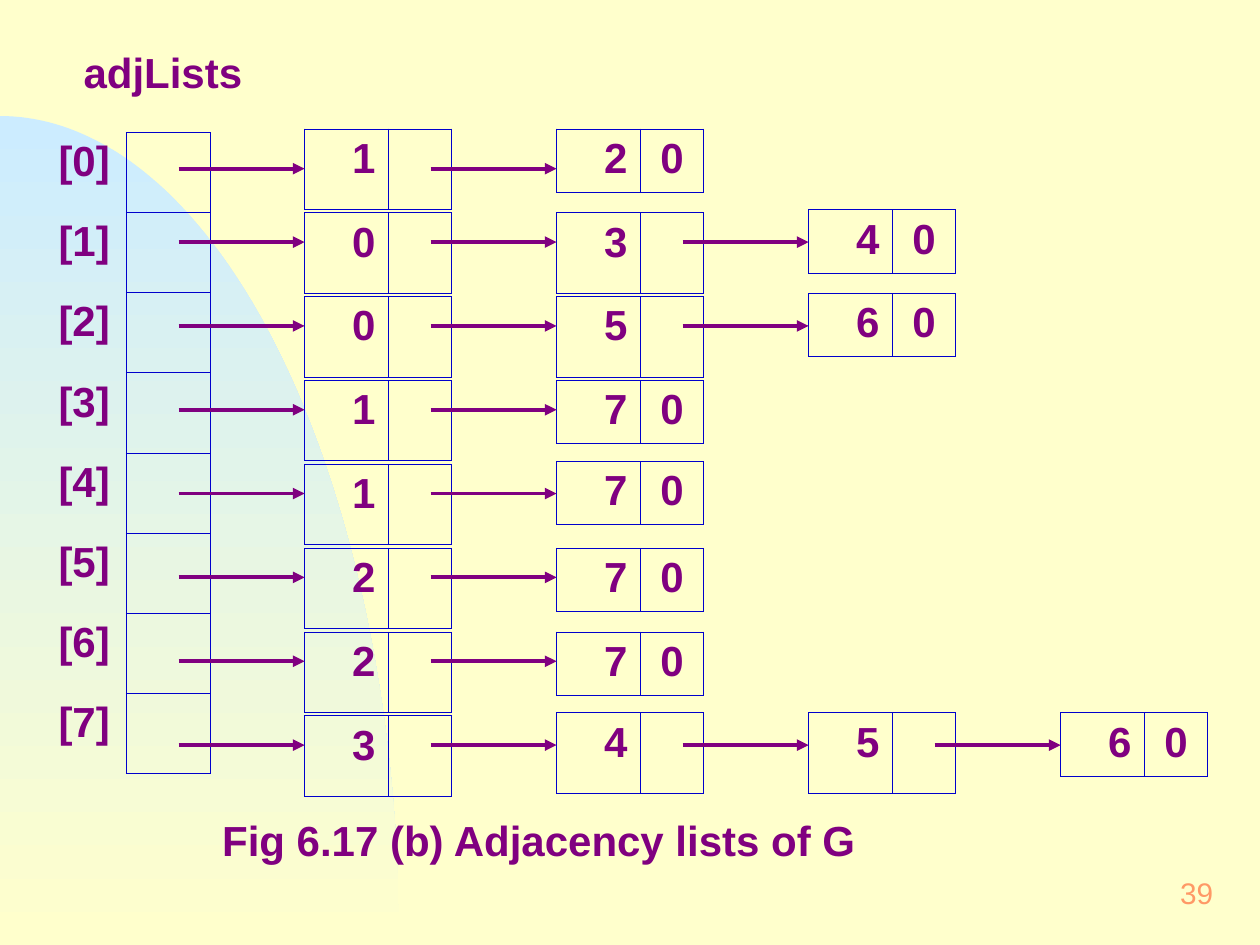
import math

import lxml.etree
import pptx
import pptx.dml.color
import pptx.enum.shapes
import pptx.enum.text
import pptx.oxml.ns
import pptx.util

Cm, Pt = pptx.util.Cm, pptx.util.Pt
qn = pptx.oxml.ns.qn
PP_ALIGN = pptx.enum.text.PP_ALIGN
ANCHOR = pptx.enum.text.MSO_ANCHOR

COLORS = {"paper": "FFFFCC", "sky": "CCECFF", "ink": "800080",
          "border": "0000CC", "number": "FF9966"}
INK = {"name": "Arial", "size": Pt(24), "bold": True}
NUMBER = {"name": "Arial", "size": Pt(17), "bold": False}

# Vertices on each adjacency list, in row order
LISTS = [[1, 2], [0, 3, 4], [0, 5, 6], [1, 7], [1, 7], [2, 7], [2, 7],
         [3, 4, 5, 6]]
# Nodes (row, position) that sit slightly higher than their row
RAISED = {(1, 2), (2, 2), (4, 1), (7, 1), (7, 2), (7, 3)}
ROW_PITCH, NODE_PITCH = 1.69, 5.08
VALUE_W, LINK_W = 1.69, 1.27
OPEN_H, LAST_H = 1.62, 1.27


def rgb(name):
    return pptx.dml.color.RGBColor.from_string(COLORS[name])


def write(tf, text, align=PP_ALIGN.LEFT, fmt=INK, color="ink"):
    p = tf.paragraphs[0]
    p.alignment = align
    r = p.add_run()
    r.text = text
    for key, value in fmt.items():
        setattr(r.font, key, value)
    r.font.color.rgb = rgb(color)


def add_text(slide, box, text, inset=(0.25, 0.13), anchor=ANCHOR.TOP, **style):
    sp = slide.shapes.add_textbox(*(Cm(v) for v in box))
    tf = sp.text_frame
    dx, dy = (Cm(v) for v in inset)
    layout = {"word_wrap": True, "vertical_anchor": anchor, "margin_left": dx,
              "margin_right": dx, "margin_top": dy, "margin_bottom": dy}
    for key, value in layout.items():
        setattr(tf, key, value)
    write(tf, text, **style)


def set_borders(cell, sides):
    """Draw the named sides (of L, R, T, B) and hide the others."""
    cell.fill.background()
    tc_pr = cell._tc.get_or_add_tcPr()
    for i, side in enumerate("LRTB"):
        ln = lxml.etree.Element(qn("a:ln" + side), w=str(Pt(0.45)))
        if side in sides:
            fill = lxml.etree.SubElement(ln, qn("a:solidFill"))
            lxml.etree.SubElement(fill, qn("a:srgbClr"), val=COLORS["border"])
        else:
            lxml.etree.SubElement(ln, qn("a:noFill"))
        tc_pr.insert(i, ln)


def add_grid(slide, left, top, widths, heights):
    frame = slide.shapes.add_table(len(heights), len(widths), Cm(left), Cm(top),
                                   Cm(sum(widths)), Cm(sum(heights)))
    table = frame.table
    table.first_row = table.horz_banding = False
    for col, w in zip(table.columns, widths):
        col.width = Cm(w)
    for row, h in zip(table.rows, heights):
        row.height = Cm(h)
    return table


def add_arrow(slide, x, y):
    line = slide.shapes.add_connector(pptx.enum.shapes.MSO_CONNECTOR.STRAIGHT,
                                      Cm(x), Cm(y), Cm(x + 2.54), Cm(y))
    line.line.color.rgb = rgb("ink")
    line.line.width = Pt(2.25)
    lxml.etree.SubElement(line.line._get_or_add_ln(), qn("a:tailEnd"),
                          type="triangle")
    lxml.etree.SubElement(line._element.spPr, qn("a:effectLst"))


def add_backdrop(slide, left, top, width, height):
    """Quarter ellipse with its centre at the lower left corner."""
    slide.background.fill.solid()
    slide.background.fill.fore_color.rgb = rgb("paper")
    angles = [math.radians(a) for a in range(0, 91)]
    arc = [(Cm(left + width * math.sin(a)),
            Cm(top + height * (1 - math.cos(a)))) for a in angles]
    builder = slide.shapes.build_freeform(*arc[0])
    builder.add_line_segments(arc[1:] + [(Cm(left), Cm(top + height))],
                              close=True)
    sp = builder.convert_to_shape()
    sp.shadow.inherit = False
    sp.line.fill.background()
    sp.fill.gradient()
    sp.fill.gradient_angle = 270
    for stop, pos, name in zip(sp.fill.gradient_stops, (0, 1), ("sky", "paper")):
        stop.position = pos
        stop.color.rgb = rgb(name)


def add_index(slide, left, top, width, height):
    n = len(LISTS)
    table = add_grid(slide, left, top, [width / 2] * 2, [height / n] * n)
    for i in range(n):
        label, head = table.cell(i, 0), table.cell(i, 1)
        write(label.text_frame, f"[{i}]", PP_ALIGN.CENTER)
        set_borders(label, "R")
        set_borders(head, "LRTB")


def add_node(slide, left, top, vertex, last):
    table = add_grid(slide, left, top, [VALUE_W, LINK_W],
                     [LAST_H if last else OPEN_H])
    value, link = table.cell(0, 0), table.cell(0, 1)
    value.margin_left = Cm(0.96)
    write(value.text_frame, str(vertex))
    if last:
        write(link.text_frame, "0", PP_ALIGN.CENTER)
    for cell in (value, link):
        set_borders(cell, "LRTB")


def add_lists(slide, left, top):
    for i, vertices in enumerate(LISTS):
        y = top + i * ROW_PITCH
        arrow_y = y + (0.59 if i else 0.8)
        for j, vertex in enumerate(vertices):
            x = left + j * NODE_PITCH
            lift = 0.06 if (i, j) in RAISED else 0
            add_node(slide, x, y - lift, vertex, j == len(vertices) - 1)
            # The arrow starts inside the preceding cell
            add_arrow(slide, x - 2.54, arrow_y)


def main():
    prs = pptx.Presentation()
    prs.slide_width, prs.slide_height = Cm(25.4), Cm(19.05)
    slide = prs.slides.add_slide(prs.slide_layouts[6])

    add_backdrop(slide, 0, 2.34, 8.05, 16.71)
    # Heading, diagram and caption
    add_text(slide, (0.64, 0.79, 5.29, 1.32), "adjLists", (0.3, 0.15),
             align=PP_ALIGN.CENTER)
    add_index(slide, 0.85, 2.67, 3.39, 12.92)
    add_lists(slide, 6.14, 2.6)
    add_text(slide, (4.23, 16.3, 16.93, 1.42),
             "Fig 6.17 (b) Adjacency lists of G")
    # Page number
    add_text(slide, (19.47, 17.36, 5.29, 1.27), "39", (0.3, 0.15),
             ANCHOR.MIDDLE, align=PP_ALIGN.RIGHT, fmt=NUMBER, color="number")
    prs.save("out.pptx")


if __name__ == "__main__":
    main()
